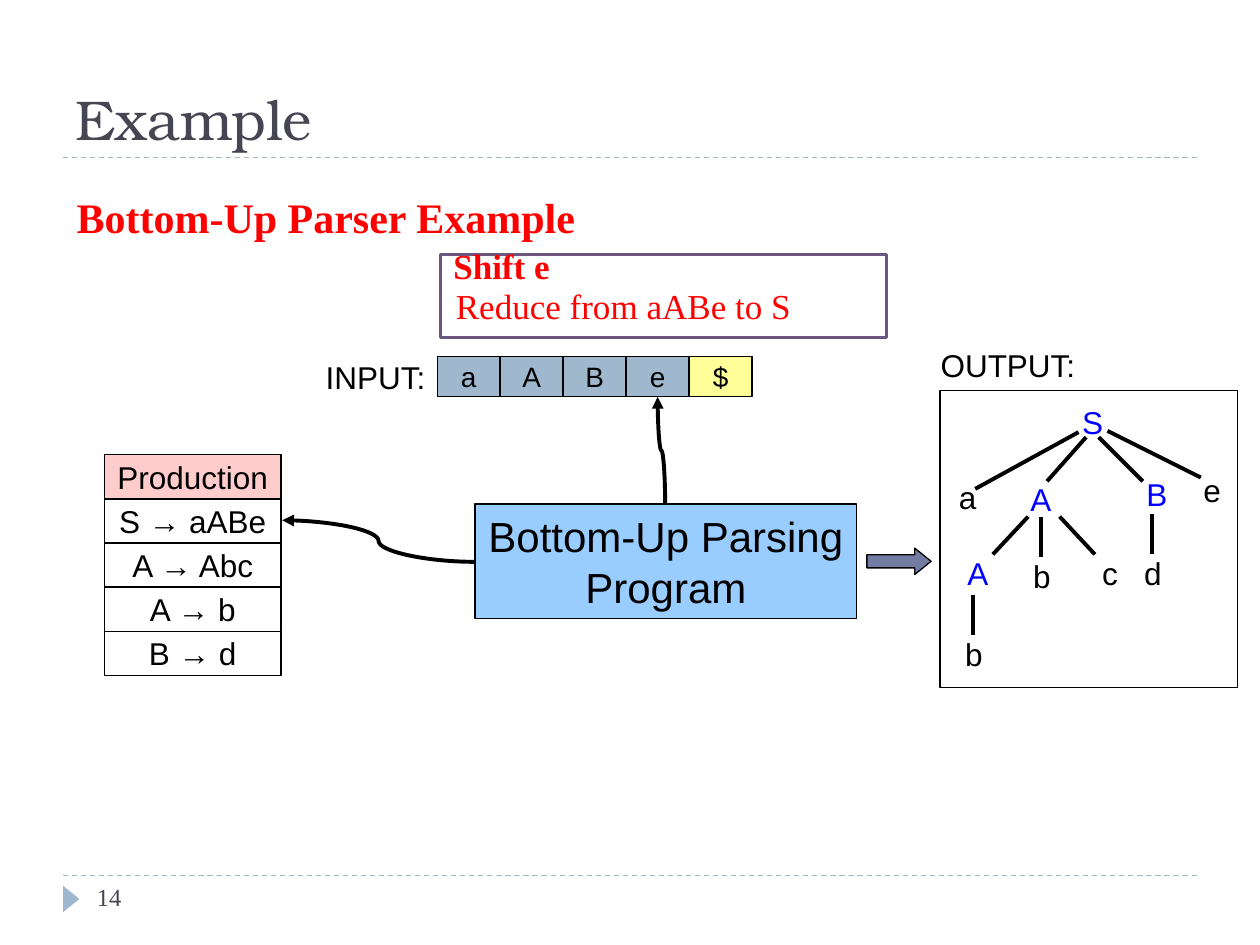
"""Build a slide that shows one step of a bottom-up parser."""
from dataclasses import dataclass

from lxml import etree
from pptx import Presentation
from pptx.dml.color import RGBColor
from pptx.enum.dml import MSO_LINE
from pptx.enum.shapes import MSO_CONNECTOR, MSO_SHAPE
from pptx.enum.text import MSO_ANCHOR, PP_ALIGN
from pptx.oxml.ns import qn
from pptx.util import Inches, Pt

RECTANGLE = MSO_SHAPE.RECTANGLE
TRIANGLE = MSO_SHAPE.ISOSCELES_TRIANGLE
ARROW = MSO_SHAPE.RIGHT_ARROW
STRAIGHT, CURVE = MSO_CONNECTOR.STRAIGHT, MSO_CONNECTOR.CURVE
DASH = MSO_LINE.DASH
LEFT, CENTER = PP_ALIGN.LEFT, PP_ALIGN.CENTER
TOP, MIDDLE, BOTTOM = MSO_ANCHOR.TOP, MSO_ANCHOR.MIDDLE, MSO_ANCHOR.BOTTOM
COLUMNS, ROWS = 10, 7.5


@dataclass(frozen=True)
class Theme:
    """Colours, fonts and type sizes of the slide."""
    ink: str = "000000"
    paper: str = "FFFFFF"
    heading: str = "464653"
    accent: str = "9FB8CD"
    arrow: str = "727CA3"
    program: str = "99CCFF"
    end_mark: str = "FFFF99"
    table_head: str = "FFCCCC"
    nonterminal: str = "0000FF"
    action: str = "FF0000"
    frame: str = "6B5680"
    sans: str = "Arial"
    serif: str = "Times New Roman"
    display: str = "TeX Gyre Bonum"
    title: int = 32
    large: int = 24
    step: int = 20
    body: int = 18
    cell: int = 16
    small: int = 14
    thin: float = 0.75
    medium: float = 1.75
    thick: float = 2.25


class SlideBuilder:
    """Draws styled elements on one slide, placed by grid columns and rows."""

    def __init__(self, deck, theme):
        self.theme = theme
        self.page = deck.slides.add_slide(deck.slide_layouts[6])
        self.column = deck.slide_width / COLUMNS
        self.row = deck.slide_height / ROWS

    def place(self, *lengths):
        """Turn alternating columns and rows into slide lengths."""
        units = (self.column, self.row) * 2
        return [round(length * unit) for length, unit in zip(lengths, units)]

    def fill_text(self, box, text, anchor=MIDDLE, align=CENTER, wrap=False, spacing=None, **formats):
        """Fill a box with one paragraph for each line of text."""
        frame = box.text_frame
        frame.word_wrap, frame.vertical_anchor = wrap, anchor
        style = {"name": self.theme.sans, "size": self.theme.body, "color": self.theme.ink, **formats}
        style["size"] = Pt(style["size"])
        color = RGBColor.from_string(style.pop("color"))
        for index, line in enumerate(text.split("\n")):
            para = frame.add_paragraph() if index else frame.paragraphs[0]
            para.alignment, para.line_spacing = align, spacing
            span = para.add_run()
            span.text = line
            span.font.color.rgb = color
            for name, value in style.items():
                setattr(span.font, name, value)

    def label(self, area, text, **formats):
        """Add a text box."""
        self.fill_text(self.page.shapes.add_textbox(*self.place(*area)), text, **formats)

    def shape(self, area, fill=None, line=None, kind=RECTANGLE, width=None, text="", **formats):
        """Add a preset shape, with text if there is any."""
        box = self.page.shapes.add_shape(kind, *self.place(*area))
        box.shadow.inherit = False
        for part, color in ((box.fill, fill), (box.line.fill, line)):
            if color:
                part.solid()
                part.fore_color.rgb = RGBColor.from_string(color)
            else:
                part.background()
        if line:
            box.line.width = Pt(width or self.theme.thin)
        if text:
            self.fill_text(box, text, **formats)
        return box

    def line(self, start, end, color=None, width=None, kind=STRAIGHT, dash=None):
        """Add a connector between two points."""
        connector = self.page.shapes.add_connector(kind, *self.place(*start), *self.place(*end))
        connector.line.color.rgb = RGBColor.from_string(color or self.theme.ink)
        connector.line.width = Pt(width or self.theme.thick)
        if dash:
            connector.line.dash_style = dash
        etree.SubElement(connector._element.spPr, qn("a:effectLst"))
        return connector

    def curved_arrow(self, start, end, upright=False):
        """Add a curved arrow that leaves sideways, or up and down if upright."""
        if upright:
            middle_x, middle_y = (start[0] + end[0]) / 2, (start[1] + end[1]) / 2
            start, end = [(middle_x + y - middle_y, middle_y - x + middle_x) for x, y in (start, end)]
        connector = self.line(start, end, kind=CURVE)
        properties = connector._element.spPr
        if upright:
            properties.find(qn("a:xfrm")).set("rot", "5400000")
        etree.SubElement(properties.find(qn("a:ln")), qn("a:tailEnd"), type="triangle")


def draw_frame(slide, theme):
    """Draw the title, the rules and the page number."""
    for height in (1.25, 6.95):
        slide.line((0.5, height), (9.5, height), theme.accent, theme.thin, dash=DASH)
    slide.shape((0.46, 7.07, 0.21, 0.13), theme.accent, kind=TRIANGLE).rotation = 90
    slide.label((0.67, 6.95, 2.17, 0.4), "14", anchor=TOP, align=LEFT, wrap=True,
                name=theme.serif, size=theme.small, color=theme.heading)
    slide.label((0.5, 0.25, 9, 1), "Example", anchor=BOTTOM, align=LEFT, wrap=True,
                name=theme.display, size=theme.title, color=theme.heading)


def draw_parser(slide, theme):
    """Draw the input tape, the productions and the parsing program."""
    slide.label((2.47, 2.79, 1.02, 0.4), "INPUT:")
    for index, symbol in enumerate("aABe$"):
        fill = theme.end_mark if symbol == "$" else theme.accent
        slide.shape((3.47 + index * 0.5, 2.83, 0.5, 0.32), fill, theme.ink, text=symbol, size=theme.cell)
    productions = ("Production", "S → aABe", "A → Abc", "A → b", "B → d")
    for index, production in enumerate(productions):
        fill = theme.paper if index else theme.table_head
        slide.shape((0.83, 3.61 + index * 0.35, 1.4, 0.35), fill, theme.ink, text=production)
    slide.shape((3.77, 4, 3.03, 0.91), theme.program, theme.ink,
                text="Bottom-Up Parsing\nProgram", size=theme.large)
    slide.curved_arrow((5.28, 4), (5.22, 3.15), upright=True)
    slide.curved_arrow((3.77, 4.46), (2.24, 4.13))
    output_arrow = slide.shape((6.88, 4.35, 0.51, 0.21), theme.arrow, theme.ink, ARROW)
    output_arrow.adjustments[1] = 0.62


def draw_tree(slide, theme):
    """Draw the output frame with its parse tree."""
    slide.shape((7.46, 3.1, 2.36, 2.36), theme.paper, theme.ink)
    slide.label((7.35, 2.7, 1.3, 0.4), "OUTPUT:")
    nodes = (("S", 8.67, 3.15), ("a", 7.68, 3.74), ("A", 8.26, 3.76), ("B", 9.18, 3.72),
             ("e", 9.62, 3.69), ("A", 7.76, 4.35), ("b", 8.27, 4.37), ("c", 8.81, 4.35),
             ("d", 9.15, 4.35), ("b", 7.73, 4.99))
    for symbol, center, top in nodes:
        color = theme.nonterminal if symbol.isupper() else theme.ink
        slide.label((center - 0.18, top, 0.36, 0.4), symbol, color=color)
    edges = (((8.56, 3.43), (7.74, 3.88)), ((8.62, 3.47), (8.31, 3.82)),
             ((8.72, 3.47), (9.07, 3.82)), ((8.79, 3.42), (9.53, 3.79)),
             ((8.16, 4.1), (7.88, 4.4)), ((8.26, 4.1), (8.26, 4.42)),
             ((8.41, 4.1), (8.69, 4.4)), ((9.14, 4.08), (9.14, 4.4)),
             ((7.72, 4.72), (7.72, 5.04)))
    for start, end in edges:
        slide.line(start, end)


def draw_step(slide, theme):
    """Show the heading and the current parser actions."""
    style = {"anchor": TOP, "align": LEFT, "name": theme.serif, "color": theme.action}
    slide.label((0.51, 1.47, 5.04, 0.5), "Bottom-Up Parser Example", wrap=True,
                size=theme.large, bold=True, **style)
    slide.shape((3.5, 2.02, 3.54, 0.66), line=theme.frame, width=theme.medium, text="Shift e",
                wrap=True, spacing=0.55, size=theme.step, bold=True, **style)
    slide.label((3.52, 2.34, 3, 0.31), "Reduce from aABe to S", spacing=0.55, size=theme.step, **style)


def main():
    """Build the deck and save it."""
    deck = Presentation()
    deck.slide_width, deck.slide_height = Inches(10), Inches(7.5)
    theme = Theme()
    slide = SlideBuilder(deck, theme)
    for draw in (draw_frame, draw_parser, draw_tree, draw_step):
        draw(slide, theme)
    deck.save("out.pptx")


if __name__ == "__main__":
    main()
